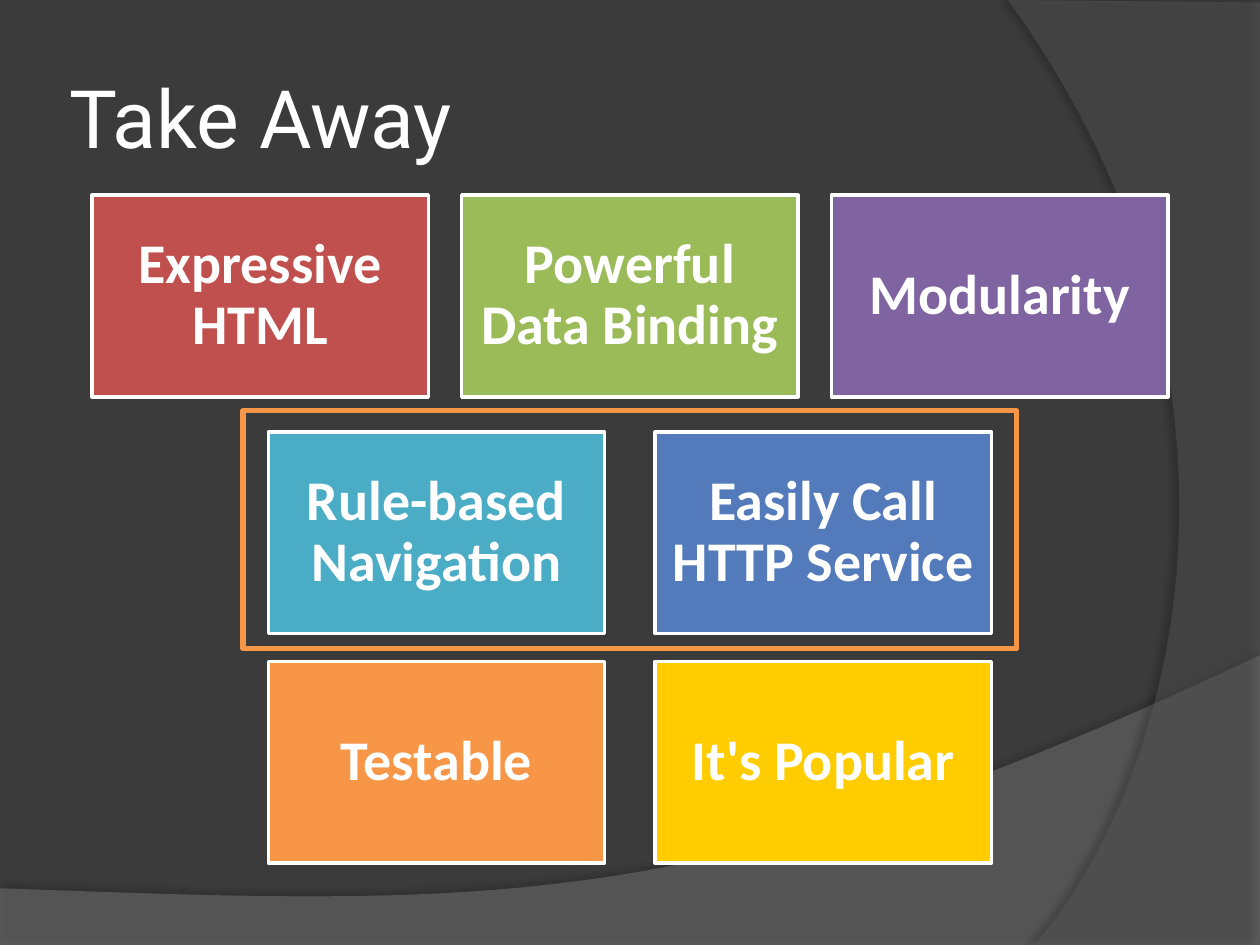
from lxml import etree
from pptx import Presentation
from pptx import util as u
from pptx.dml.color import RGBColor
from pptx.enum import shapes, text
from pptx.oxml import parse_xml
from pptx.oxml.ns import nsdecls, qn

BACKGROUND = RGBColor(0x3B, 0x3B, 0x3B)
WAVE_GRAY = RGBColor(0x7F, 0x7F, 0x7F)
ARC_GRAY = RGBColor(0x5E, 0x5E, 0x5E)
WHITE = RGBColor(0xFF, 0xFF, 0xFF)
RED = RGBColor(0xC0, 0x50, 0x4D)
GREEN = RGBColor(0x9B, 0xBB, 0x59)
PURPLE = RGBColor(0x80, 0x64, 0xA2)
TEAL = RGBColor(0x4B, 0xAC, 0xC6)
BLUE = RGBColor(0x53, 0x7A, 0xBA)
ORANGE = RGBColor(0xF7, 0x96, 0x46)
YELLOW = RGBColor(0xFF, 0xCC, 0x00)


def curve_points(start, control_1, control_2, end, steps=40):
    """Points along a cubic Bezier curve, without its start."""
    points = []
    for step in range(1, steps + 1):
        t = step / steps
        weights = ((1 - t) ** 3, 3 * t * (1 - t) ** 2, 3 * t**2 * (1 - t), t**3)
        corners = (start, control_1, control_2, end)
        points.append(tuple(sum(w * c[axis] for w, c in zip(weights, corners))
                            for axis in (0, 1)))
    return points


def add_swoosh(points, color, opacity, shadow_opacity, distance, direction):
    """Translucent background outline with a soft shadow."""
    corners = [(u.Inches(x), u.Inches(y)) for x, y in points]
    builder = slide.shapes.build_freeform(*corners[0])
    builder.add_line_segments(corners[1:], close=True)
    shape = builder.convert_to_shape()
    shape.fill.solid()
    shape.fill.fore_color.rgb = color
    shape.line.fill.background()
    color_element = shape._element.spPr.find(".//" + qn("a:srgbClr"))
    etree.SubElement(color_element, qn("a:alpha"), val=str(opacity * 1000))
    shape._element.spPr.append(parse_xml(
        f'<a:effectLst {nsdecls("a")}><a:outerShdw blurRad="{u.Pt(4)}" '
        f'dist="{u.Pt(distance)}" dir="{direction * 60000}" algn="ctr">'
        f'<a:srgbClr val="000000"><a:alpha val="{shadow_opacity * 1000}"/></a:srgbClr>'
        '</a:outerShdw></a:effectLst>'))


presentation = Presentation()
presentation.slide_width = u.Inches(10)
presentation.slide_height = u.Inches(7.5)
slide = presentation.slides.add_slide(presentation.slide_layouts[5])
slide.background.fill.solid()
slide.background.fill.fore_color.rgb = BACKGROUND

# Background swooshes
wave = curve_points((10, 5.2), (5.59, 7.29), (3.91, 7.19), (0, 7.05))
add_swoosh([(0, 7.05), (0, 7.51), (10, 7.51), (10, 5.2)] + wave,
           WAVE_GRAY, 45, 35, 3.5, 270)
arc = curve_points((8.21, 7.5), (9.35, 6.19), (10.18, 3), (8, 0))
add_swoosh([(10, 0.02), (10, 7.5), (8.21, 7.5)] + arc, ARC_GRAY, 40, 45, 4, 180)

# Title
title = slide.shapes.title
title.left, title.top = u.Inches(0.5), u.Inches(0.3)
title.width, title.height = u.Inches(9.25), u.Inches(1.25)
frame = title.text_frame
frame.text = "Take Away"
frame.vertical_anchor = text.MSO_ANCHOR.MIDDLE
frame.margin_left = frame.margin_right = u.Inches(0.05)
frame.margin_top = frame.margin_bottom = u.Inches(0.05)
paragraph = frame.paragraphs[0]
paragraph.alignment = text.PP_ALIGN.LEFT
paragraph.font.name = "Roboto"
paragraph.font.size = u.Pt(46)
paragraph.font.color.rgb = WHITE

# Feature tiles: each row is centred on the slide
TILE_WIDTH, TILE_HEIGHT = 2.67, 1.6
rows = [
    (1.55, 0.265, [("Expressive HTML", RED), ("Powerful Data Binding", GREEN),
                   ("Modularity", PURPLE)]),
    (3.43, 0.4, [("Rule-based Navigation", TEAL), ("Easily Call HTTP Service", BLUE)]),
    (5.25, 0.4, [("Testable", ORANGE), ("It's Popular", YELLOW)]),
]
for top, gap, tiles in rows:
    row_width = len(tiles) * (TILE_WIDTH + gap) - gap
    for column, (label, color) in enumerate(tiles):
        left = (10 - row_width) / 2 + column * (TILE_WIDTH + gap)
        tile = slide.shapes.add_shape(
            shapes.MSO_SHAPE.RECTANGLE, u.Inches(left), u.Inches(top),
            u.Inches(TILE_WIDTH), u.Inches(TILE_HEIGHT))
        tile.shadow.inherit = False
        tile.fill.solid()
        tile.fill.fore_color.rgb = color
        tile.line.color.rgb = WHITE
        tile.line.width = u.Pt(2)
        frame = tile.text_frame
        frame.text = label
        frame.word_wrap = True
        frame.vertical_anchor = text.MSO_ANCHOR.MIDDLE
        frame.margin_left = frame.margin_right = u.Inches(0.12)
        frame.margin_top = frame.margin_bottom = u.Inches(0.12)
        paragraph = frame.paragraphs[0]
        paragraph.alignment = text.PP_ALIGN.CENTER
        paragraph.line_spacing = 0.9
        paragraph.font.name = "Calibri"
        paragraph.font.size = u.Pt(32)
        paragraph.font.bold = True
        paragraph.font.color.rgb = WHITE

# Highlight frame around the middle row
highlight = slide.shapes.add_shape(
    shapes.MSO_SHAPE.RECTANGLE, u.Inches(1.93), u.Inches(3.26),
    u.Inches(6.14), u.Inches(1.89))
highlight.shadow.inherit = False
highlight.fill.background()
highlight.line.color.rgb = ORANGE
highlight.line.width = u.Pt(3)

presentation.save("out.pptx")
